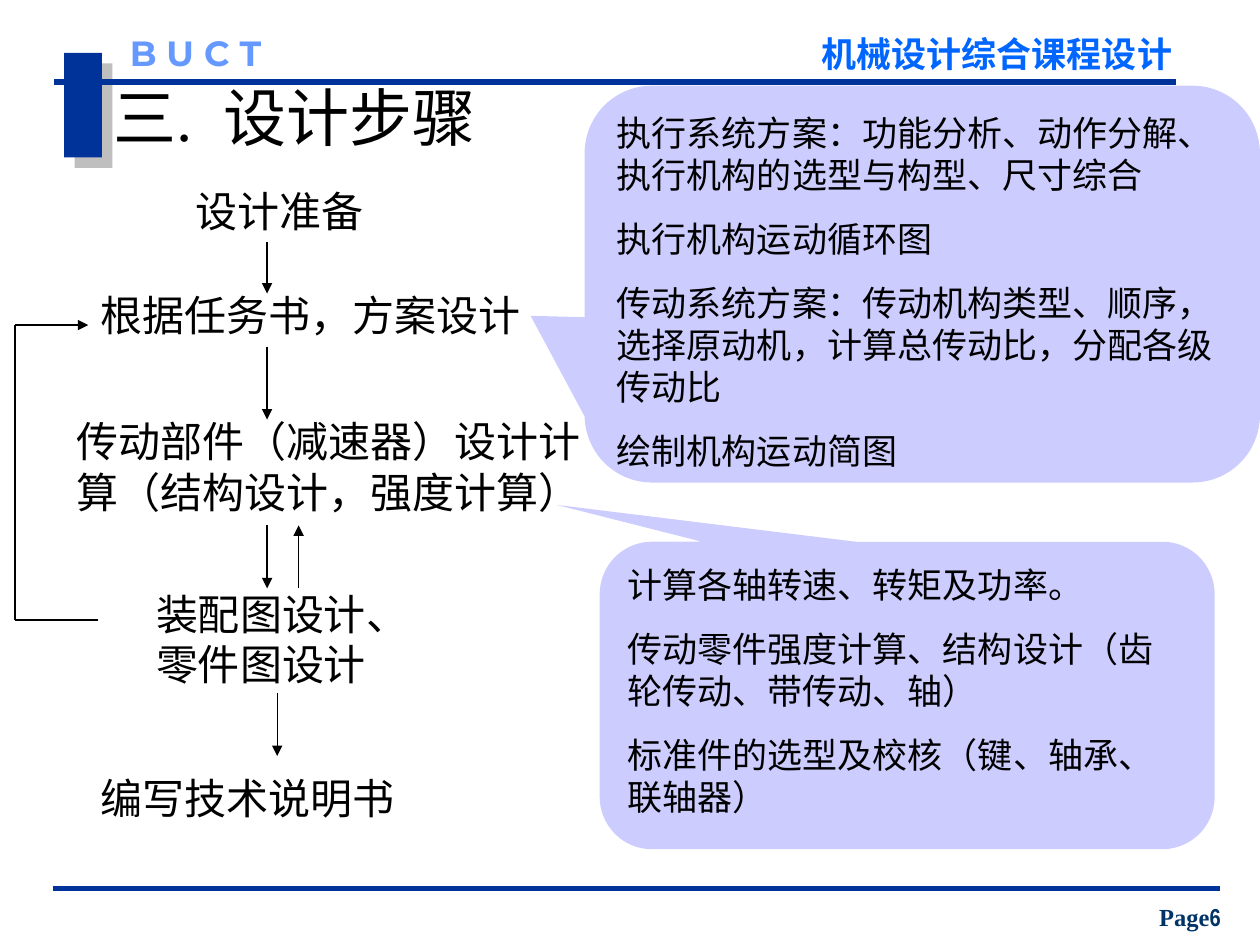
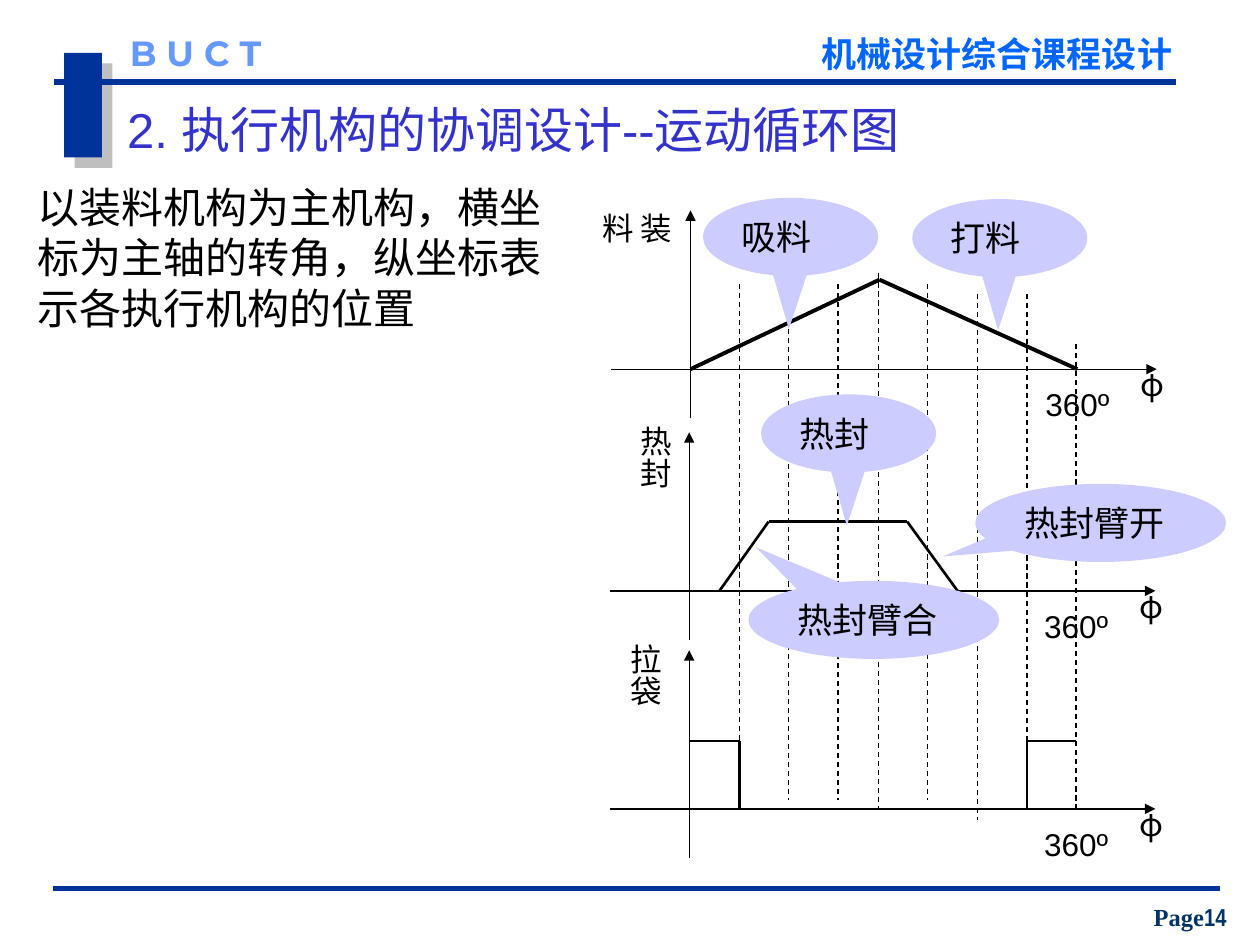
from dataclasses import dataclass
from itertools import pairwise

from lxml.etree import SubElement
from pptx import Presentation
from pptx.dml.color import RGBColor
from pptx.enum.dml import MSO_LINE
from pptx.enum.shapes import MSO_CONNECTOR, MSO_SHAPE as SHAPE
from pptx.enum.text import MSO_ANCHOR as ANCHOR, MSO_AUTO_SIZE as FIT, PP_ALIGN as ALIGN
from pptx.oxml.ns import qn
from pptx.util import Pt

PX = 9144  # EMU in one px, 100 px to the inch

NAVY = RGBColor(0x00, 0x33, 0x99)
SKY = RGBColor(0x00, 0x66, 0xFF)
PALE_BLUE = RGBColor(0x66, 0x99, 0xFF)
DEEP_BLUE = RGBColor(0x00, 0x33, 0x66)
INDIGO = RGBColor(0x33, 0x33, 0xCC)
LAVENDER = RGBColor(0xCC, 0xCC, 0xFF)
BLACK = RGBColor(0x00, 0x00, 0x00)

SERIF, SANS, NARROW = "Times New Roman", "Arial", "Arial Narrow"
CJK, LOGO_FONT = "Noto Sans CJK SC", "Montserrat"
TITLE_ONLY = 5


@dataclass(frozen=True)
class Area:
    left: int
    top: int
    width: int
    height: int

    def emu(self) -> list[int]:
        return [n * PX for n in (self.left, self.top, self.width, self.height)]


@dataclass(frozen=True)
class Step:
    text: str
    area: Area


@dataclass(frozen=True)
class Callout:
    shape: SHAPE
    area: Area
    tip: tuple[float, ...]
    paragraphs: tuple[str, ...]


@dataclass(frozen=True)
class Diagram:
    name: str
    label: Area
    origin: tuple[int, int]
    curve: tuple[tuple[int, int], ...]
    weight: float


# Text

def style_span(span, font: str, size: float, color: RGBColor, bold: bool = False) -> None:
    span.font.name, span.font.size, span.font.bold = font, Pt(size), bold
    span.font.color.rgb = color
    east_asian = SubElement(span.font._element, qn("a:ea"))
    east_asian.set("typeface", CJK)


def write_text(box, *paragraphs: str, font: str = SERIF, size: float = 24,
               color: RGBColor = BLACK, bold: bool = False, align=ALIGN.LEFT,
               anchor=ANCHOR.TOP, fit=FIT.SHAPE_TO_FIT_TEXT,
               margins: tuple[int, int] = (10, 5), gap: float = 0) -> None:
    frame = box.text_frame
    frame.word_wrap, frame.auto_size, frame.vertical_anchor = True, fit, anchor
    frame.margin_left = frame.margin_right = margins[0] * PX
    frame.margin_top = frame.margin_bottom = margins[1] * PX
    for index, text in enumerate(paragraphs):
        para = frame.add_paragraph() if index else frame.paragraphs[0]
        para.alignment = align
        para.space_before = Pt(gap if index else 0)
        span = para.add_run()
        span.text = text
        style_span(span, font, size, color, bold)


def add_text(page, area: Area, text: str, **format):
    box = page.shapes.add_textbox(*area.emu())
    write_text(box, text, **format)
    return box


def add_title(page, area: Area, text: str, **format) -> None:
    title = page.shapes.title
    title.left, title.top, title.width, title.height = area.emu()
    write_text(title, text, **format)


# Shapes and lines

def add_shape(page, shape: SHAPE, area: Area, fill: RGBColor):
    box = page.shapes.add_shape(shape, *area.emu())
    box.fill.solid()
    box.fill.fore_color.rgb = fill
    box.line.fill.background()
    box.shadow.inherit = False
    return box


def add_line(page, start: tuple[int, int], end: tuple[int, int], color: RGBColor = BLACK,
             weight: float = 0.75, arrow: bool = False, dashed: bool = False) -> None:
    line = page.shapes.add_connector(
        MSO_CONNECTOR.STRAIGHT, *(n * PX for n in (*start, *end)))
    line.line.color.rgb = color
    line.line.width = Pt(weight)
    if dashed:
        line.line.dash_style = MSO_LINE.DASH
    properties = line.element.spPr
    if arrow:
        SubElement(properties.find(qn("a:ln")), qn("a:tailEnd")).set("type", "triangle")
    SubElement(properties, qn("a:effectLst"))


def add_callout(page, callout: Callout) -> None:
    box = add_shape(page, callout.shape, callout.area, LAVENDER)
    for index, value in enumerate(callout.tip):
        box.adjustments[index] = value
    write_text(box, *callout.paragraphs, size=20, fit=FIT.NONE, gap=12.5)


def add_hard_shadow(box) -> None:
    effects = box.element.spPr.find(qn("a:effectLst"))
    shadow = SubElement(effects, qn("a:outerShdw"), blurRad="0", dist="107950",
                        dir="2700000", algn="ctr", rotWithShape="0")
    gray = SubElement(shadow, qn("a:srgbClr"), val="808080")
    SubElement(gray, qn("a:alpha"), val="50000")


# Frame shared by the pages

def add_page(deck, number: int):
    page = deck.slides.add_slide(deck.slide_layouts[TITLE_ONLY])
    add_hard_shadow(add_shape(page, SHAPE.RECTANGLE, Area(51, 42, 30, 83), NAVY))
    add_line(page, (43, 65), (933, 65), NAVY, 3)
    add_line(page, (42, 705), (968, 705), NAVY, 3)
    heading = dict(size=20, bold=True, margins=(0, 0))
    add_text(page, Area(652, 26, 302, 33), "机械设计综合课程设计",
             font=CJK, color=SKY, **heading)
    add_text(page, Area(103, 25, 142, 33), "B U C T",
             font=LOGO_FONT, color=PALE_BLUE, **heading)
    footer = add_text(page, Area(897, 711, 95, 33), "Page", size=14, color=DEEP_BLUE,
                      bold=True, align=ALIGN.CENTER, anchor=ANCHOR.BOTTOM, fit=FIT.NONE)
    span = footer.text_frame.paragraphs[0].add_run()
    span.text = str(number)
    style_span(span, NARROW, 14, DEEP_BLUE, bold=True)
    return page


# Design steps

STEPS = (
    Step("设计准备", Area(145, 142, 175, 50)),
    Step("根据任务书，方案设计", Area(70, 225, 483, 50)),
    Step("传动部件（减速器）设计计算（结构设计，强度计算）", Area(51, 325, 444, 90)),
    Step("装配图设计、零件图设计", Area(114, 462, 244, 90)),
    Step("编写技术说明书", Area(70, 608, 325, 50)),
)
STEP_ARROWS = (
    ((212, 192), (212, 233)),
    ((212, 275), (212, 333)),
    ((212, 417), (212, 467)),
    ((237, 467), (237, 417)),
    ((220, 550), (220, 600)),
)
FEEDBACK = ((78, 492), (12, 492), (12, 258), (70, 258))
STEP_NOTES = (
    Callout(SHAPE.ROUNDED_RECTANGULAR_CALLOUT, Area(464, 68, 536, 315),
            (-0.58, 0.08, 0.17), (
                "执行系统方案：功能分析、动作分解、执行机构的选型与构型、尺寸综合",
                "执行机构运动循环图",
                "传动系统方案：传动机构类型、顺序，选择原动机，计算总传动比，分配各级传动比",
                "绘制机构运动简图")),
    Callout(SHAPE.ROUNDED_RECTANGULAR_CALLOUT, Area(476, 430, 488, 244),
            (-0.57, -0.62, 0.17), (
                "计算各轴转速、转矩及功率。",
                "传动零件强度计算、结构设计（齿轮传动、带传动、轴）",
                "标准件的选型及校核（键、轴承、联轴器）")),
)


def build_steps_page(deck) -> None:
    page = add_page(deck, 6)
    add_title(page, Area(90, 60, 776, 65), "三.  设计步骤", size=36,
              anchor=ANCHOR.MIDDLE, fit=FIT.NONE, margins=(0, 0))
    for step in STEPS:
        add_text(page, step.area, step.text)
    for start, end in STEP_ARROWS:
        add_line(page, start, end, arrow=True)
    for start, end in pairwise(FEEDBACK):
        add_line(page, start, end, arrow=end == FEEDBACK[-1])
    for note in STEP_NOTES:
        add_callout(page, note)


# Motion cycle diagrams

GUIDES = (  # x, top, bottom
    (587, 225, 635), (626, 225, 635), (665, 225, 635), (697, 217, 643),
    (736, 225, 635), (776, 233, 651), (815, 233, 643), (854, 273, 643),
)
DIAGRAMS = (
    Diagram("装料", Area(490, 159, 50, 63), (548, 293),
            ((548, 293), (698, 222), (855, 293)), 2.25),
    Diagram("热封", Area(490, 328, 50, 71), (547, 469),
            ((571, 469), (610, 414), (720, 414), (760, 469), (854, 469)), 1.5),
    Diagram("拉袋", Area(482, 501, 50, 71), (547, 642),
            ((547, 588), (587, 588), (587, 642), (815, 642), (815, 588), (854, 588)), 1.5),
)
MOTION_NOTES = tuple(
    Callout(SHAPE.OVAL_CALLOUT, Area(left, top, width, 62), tip, (text,))
    for text, left, top, width, tip in (
        ("吸料", 558, 157, 139, (-0.01, 1.18)),
        ("打料", 724, 158, 139, (-0.01, 1.18)),
        ("热封", 604, 313, 139, (-0.01, 1.18)),
        ("热封臂合", 594, 461, 199, (-0.47, -0.93)),
        ("热封臂开", 774, 384, 199, (-0.63, 0.43)),
    ))


def add_diagram(page, diagram: Diagram) -> None:
    x, y = diagram.origin
    add_line(page, (x - 63, y), (x + 370, y), arrow=True)
    add_line(page, (x, y + 39), (x, y - 126), arrow=True)
    caption = dict(size=18, align=ALIGN.CENTER)
    add_text(page, Area(x + 347, y - 8, 39, 40), "φ", font=CJK, **caption)
    add_text(page, Area(x + 260, y + 8, 94, 40), "360º", font=SANS, **caption)
    label = add_text(page, diagram.label, diagram.name, font=SANS, margins=(5, 10), **caption)
    label.element.txBody.bodyPr.set("vert", "eaVert")
    for start, end in pairwise(diagram.curve):
        add_line(page, start, end, weight=diagram.weight)


def build_cycle_page(deck) -> None:
    page = add_page(deck, 14)
    add_title(page, Area(91, 74, 811, 57), "2. 执行机构的协调设计--运动循环图",
              font=SANS, size=28, color=INDIGO)
    add_text(page, Area(20, 139, 433, 130),
             "以装料机构为主机构，横坐标为主轴的转角，纵坐标表示各执行机构的位置", font=SANS)
    for x, top, bottom in GUIDES:
        add_line(page, (x, top), (x, bottom), dashed=True)
    for diagram in DIAGRAMS:
        add_diagram(page, diagram)
    for note in MOTION_NOTES:
        add_callout(page, note)


def main() -> None:
    deck = Presentation()
    deck.slide_width, deck.slide_height = 1000 * PX, 750 * PX
    build_steps_page(deck)
    build_cycle_page(deck)
    deck.save("out.pptx")


if __name__ == "__main__":
    main()
